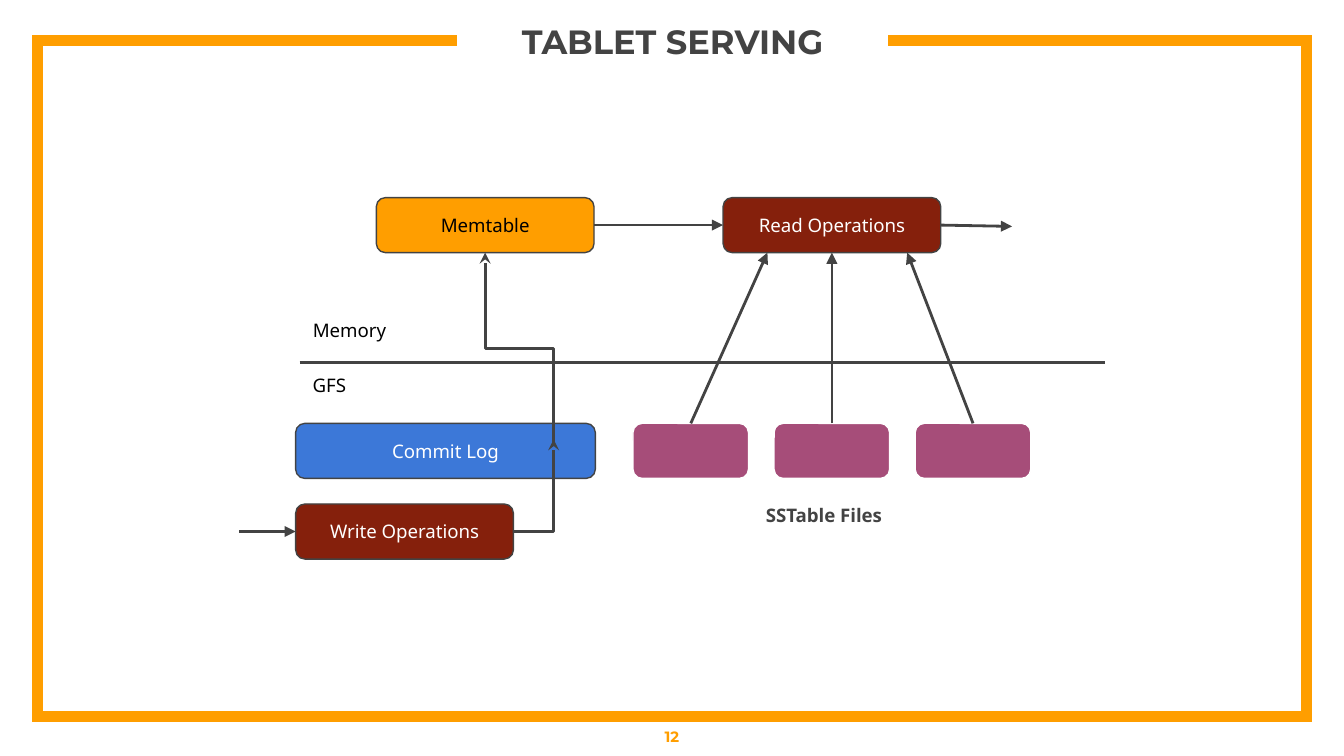
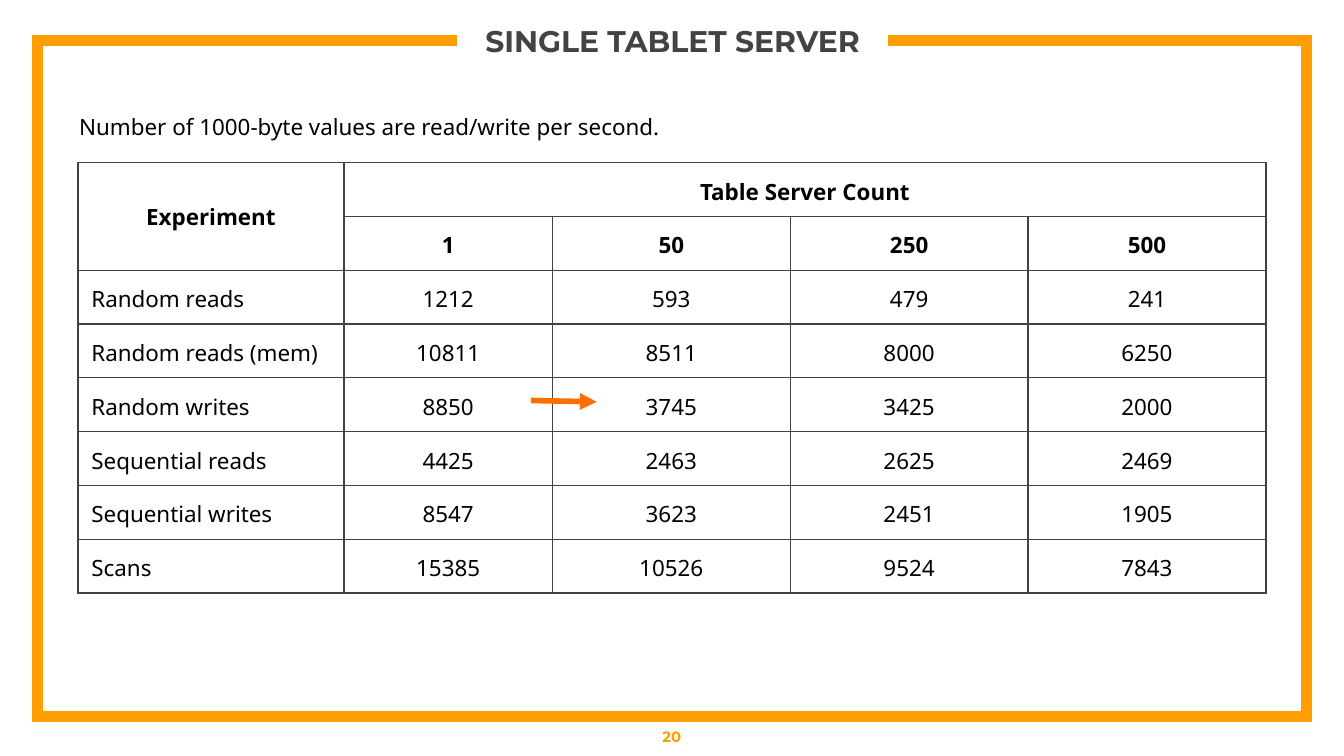
from dataclasses import dataclass

import pptx
import pptx.dml.color
import pptx.enum.shapes
import pptx.enum.text
import pptx.oxml.ns
import pptx.util
from lxml import etree
from pptx.util import Inches

SHAPES = pptx.enum.shapes.MSO_SHAPE
CONNECTORS = pptx.enum.shapes.MSO_CONNECTOR
ALIGN = pptx.enum.text.PP_ALIGN
ANCHOR = pptx.enum.text.MSO_ANCHOR
qn = pptx.oxml.ns.qn

AMBER, DARK, BLACK, WHITE = "FF9E00", "434343", "000000", "FFFFFF"
BLUE, MAROON, PLUM, ORANGE = "3C78D8", "85200C", "A64D79", "FF6F00"
HEADING_FONT, BODY_FONT = "Montserrat", "Noto Sans"


@dataclass
class Box:
    left: float
    top: float
    width: float
    height: float

    @property
    def right(self):
        return self.left + self.width

    @property
    def bottom(self):
        return self.top + self.height

    @property
    def center(self):
        return self.left + self.width / 2

    @property
    def middle(self):
        return self.top + self.height / 2

    def inner(self, left, top, width, height):
        return Box(self.left + left, self.top + top, width, height)

    def lengths(self):
        return [Inches(value) for value in (self.left, self.top, self.width, self.height)]


PAGE = Box(0, 0, 10, 10 * 9 / 16)
TITLE = Box(3.55, 0.11, 2.91, 0.39)
FRAME = Box(0.28, 0.3, 9.44, 5.03)
FOOTER = Box(0, 5.33, 10, 0.3)
FRAME_GAP = (3.4, 6.61)


def color(value):
    return pptx.dml.color.RGBColor.from_string(value)


def set_line(line, value, width):
    line.color.rgb = color(value)
    line.width = pptx.util.Pt(width)


def write(frame, text, size, ink, font=BODY_FONT, bold=False, align=ALIGN.CENTER):
    para = frame.paragraphs[0]
    para.text = text
    para.alignment = align
    para.font.name = font
    para.font.size = pptx.util.Pt(size)
    para.font.bold = bold
    para.font.color.rgb = color(ink)


def set_margins(holder, inset=0.1):
    holder.margin_left = holder.margin_right = Inches(inset)
    holder.margin_top = holder.margin_bottom = Inches(inset)


def add_label(page, box, text, size, ink, anchor=ANCHOR.TOP, inset=0.1, **style):
    frame = page.shapes.add_textbox(*box.lengths()).text_frame
    frame.word_wrap = True
    frame.vertical_anchor = anchor
    set_margins(frame, inset)
    write(frame, text, size, ink, **style)


def add_node(page, box, text="", fill=None, ink=WHITE, outline=DARK,
             kind=SHAPES.FLOWCHART_ALTERNATE_PROCESS, bold=False):
    node = page.shapes.add_shape(kind, *box.lengths())
    node.shadow.inherit = False
    if fill:
        node.fill.solid()
        node.fill.fore_color.rgb = color(fill)
    else:
        node.fill.background()
    set_line(node.line, outline, 0.75)
    if text:
        node.text_frame.vertical_anchor = ANCHOR.MIDDLE
        set_margins(node.text_frame)
        write(node.text_frame, text, 10, ink, bold=bold)
    return box


def add_line(page, start, end, head=None, ink=DARK, width=1.5, kind=CONNECTORS.STRAIGHT):
    link = page.shapes.add_connector(kind, *[Inches(value) for value in (*start, *end)])
    set_line(link.line, ink, width)
    properties = link._element.spPr
    if head:
        etree.SubElement(properties.find(qn("a:ln")), qn("a:tailEnd"), type=head)
    etree.SubElement(properties, qn("a:effectLst"))
    return properties


def add_corner(page, start, end):
    properties = add_line(page, start, end, "stealth", kind=CONNECTORS.ELBOW)
    properties.find(qn("a:prstGeom")).set("prst", "bentConnector2")


def add_upward_elbow(page, start, end):
    center, middle = (start[0] + end[0]) / 2, (start[1] + end[1]) / 2
    half_rise, half_run = (start[1] - end[1]) / 2, (start[0] - end[0]) / 2
    properties = add_line(page, (center + half_rise, middle - half_run),
                          (center - half_rise, middle + half_run), "stealth",
                          kind=CONNECTORS.ELBOW)
    properties.find(qn("a:xfrm")).set("rot", "5400000")


def add_frame(page, box):
    gap_left, gap_right = FRAME_GAP
    corners = [(box.left, box.top), (box.left, box.bottom), (box.right, box.bottom),
               (box.right, box.top), (gap_right, box.top)]
    builder = page.shapes.build_freeform(Inches(gap_left), Inches(box.top))
    builder.add_line_segments([(Inches(x), Inches(y)) for x, y in corners], close=False)
    border = builder.convert_to_shape()
    border.shadow.inherit = False
    border.fill.background()
    set_line(border.line, AMBER, 6)
    etree.SubElement(border._element.spPr.find(qn("a:ln")), qn("a:miter"), lim="800000")


def add_page(deck, title, title_size, number):
    page = deck.slides.add_slide(deck.slide_layouts[6])
    page.background.fill.solid()
    page.background.fill.fore_color.rgb = color(WHITE)
    add_frame(page, FRAME)
    heading = dict(font=HEADING_FONT, bold=True, anchor=ANCHOR.MIDDLE)
    add_label(page, TITLE, title, title_size, DARK, inset=0, **heading)
    add_label(page, FOOTER, number, 8, AMBER, **heading)
    return page


def add_write_path(page, box):
    log = add_node(page, box.inner(0.42, 1.68, 2.23, 0.41), "Commit Log", BLUE)
    writes = add_node(page, box.inner(0.42, 2.28, 1.62, 0.41), "Write Operations", MAROON)
    memtable = add_node(page, box.inner(1.02, 0, 1.62, 0.41), "Memtable", AMBER, BLACK)
    turn = writes.right + 0.3
    add_corner(page, (writes.right, writes.middle), (turn, log.top + 0.12))
    add_upward_elbow(page, (turn, log.top + 0.16), (memtable.center, memtable.bottom))
    add_line(page, (box.left, writes.middle), (writes.left, writes.middle), "triangle")
    return memtable


def add_read_path(page, box, memtable):
    reads = add_node(page, box.inner(3.6, 0, 1.62, 0.41), "Read Operations", MAROON)
    add_line(page, (memtable.right, memtable.middle), (reads.left, reads.middle), "triangle")
    add_line(page, (reads.right, reads.middle), (reads.right + 0.53, reads.middle + 0.01),
             "triangle")
    add_node(page, box.inner(3.54, 2.16, 1.62, 0.41), "SSTable Files", ink=DARK,
             outline=WHITE, kind=SHAPES.ROUNDED_RECTANGLE, bold=True)
    for index, target in enumerate((0.33, 0.81, 1.37)):
        file = add_node(page, box.inner(2.93 + 1.05 * index, 1.68, 0.86, 0.41), fill=PLUM,
                        outline=WHITE, kind=SHAPES.ROUNDED_RECTANGLE)
        add_line(page, (file.center, file.top), (reads.left + target, reads.bottom),
                 "triangle")


def add_storage_divider(page, box):
    level = box.top + 1.23
    add_line(page, (box.left + 0.45, level), (box.right, level))
    add_label(page, box.inner(0.45, 0.82, 0.86, 0.37), "Memory", 10, BLACK, align=ALIGN.LEFT)
    add_label(page, box.inner(0.42, 1.23, 0.5, 0.37), "GFS", 10, BLACK)


def add_serving_diagram(page, box):
    memtable = add_write_path(page, box)
    add_storage_divider(page, box)
    add_read_path(page, box, memtable)


def set_borders(cell):
    properties = cell._tc.get_or_add_tcPr()
    for index, side in enumerate(("a:lnL", "a:lnR", "a:lnT", "a:lnB")):
        border = etree.Element(qn(side), w=str(pptx.util.Pt(0.75)))
        fill = etree.SubElement(border, qn("a:solidFill"))
        etree.SubElement(fill, qn("a:srgbClr"), val=DARK)
        properties.insert(index, border)


def add_results_table(page, box, rows, widths):
    holder = page.shapes.add_table(len(rows), len(widths), *box.lengths())
    table = holder.table
    table.first_row = table.horz_banding = False
    for column, width in zip(table.columns, widths):
        column.width = Inches(width)
    for row_index, values in enumerate(rows):
        table.rows[row_index].height = Inches(0.38)
        for column_index, value in enumerate(values):
            cell = table.cell(row_index, column_index)
            header = row_index < 2
            cell.fill.background()
            set_borders(cell)
            set_margins(cell)
            write(cell.text_frame, value, 12, BLACK, bold=header,
                  align=ALIGN.CENTER if header or column_index else ALIGN.LEFT)
    table.cell(0, 0).merge(table.cell(1, 0))
    table.cell(0, 0).vertical_anchor = ANCHOR.MIDDLE
    table.cell(0, 1).merge(table.cell(0, len(widths) - 1))
    holder.height = Inches(box.height)


def add_benchmark(page, box):
    rows = [
        ("Experiment", "Table Server Count", "", "", ""),
        ("", "1", "50", "250", "500"),
        ("Random reads", "1212", "593", "479", "241"),
        ("Random reads (mem)", "10811", "8511", "8000", "6250"),
        ("Random writes", "8850", "3745", "3425", "2000"),
        ("Sequential reads", "4425", "2463", "2625", "2469"),
        ("Sequential writes", "8547", "3623", "2451", "1905"),
        ("Scans", "15385", "10526", "9524", "7843"),
    ]
    widths = [1.98, 1.55, 1.77, 1.77, 1.77]
    add_results_table(page, box.inner(0.09, 0.47, sum(widths), 3.28), rows, widths)
    add_label(page, box.inner(0, 0, 7.19, 0.4),
              "Number of 1000-byte values are read/write per second.", 12, BLACK,
              align=ALIGN.LEFT)
    arrow = box.inner(3.46, 2.24, 0.49, 0.01)
    add_line(page, (arrow.left, arrow.top), (arrow.right, arrow.bottom), "triangle", ORANGE, 3)


def main():
    deck = pptx.Presentation()
    deck.slide_width = Inches(PAGE.width)
    deck.slide_height = Inches(PAGE.height)
    add_serving_diagram(add_page(deck, "TABLET SERVING", 18, "12"), Box(1.78, 1.47, 6.44, 2.69))
    add_benchmark(add_page(deck, "SINGLE TABLET SERVER", 16, "20"), Box(0.49, 0.74, 8.93, 3.88))
    deck.save("out.pptx")


if __name__ == "__main__":
    main()
